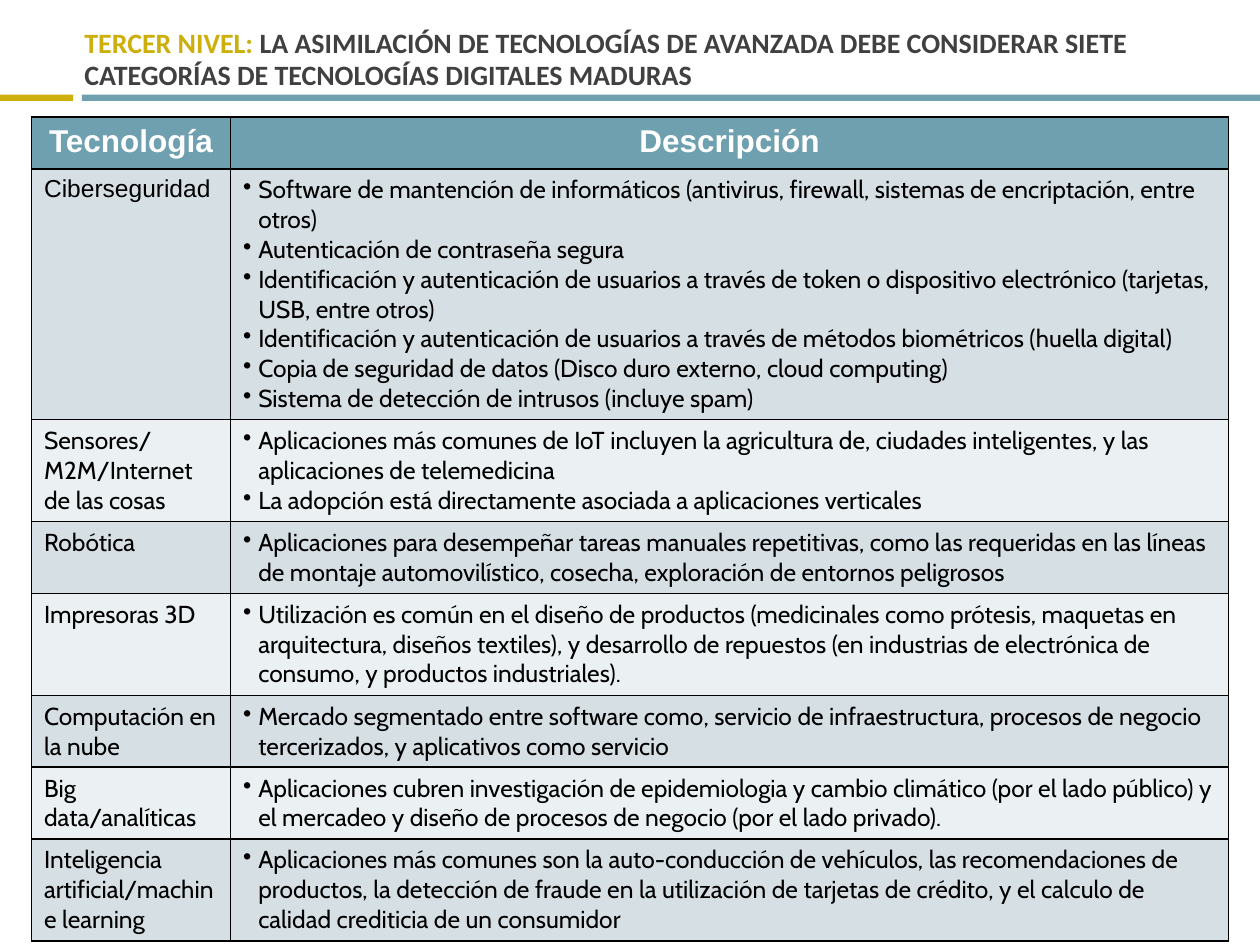
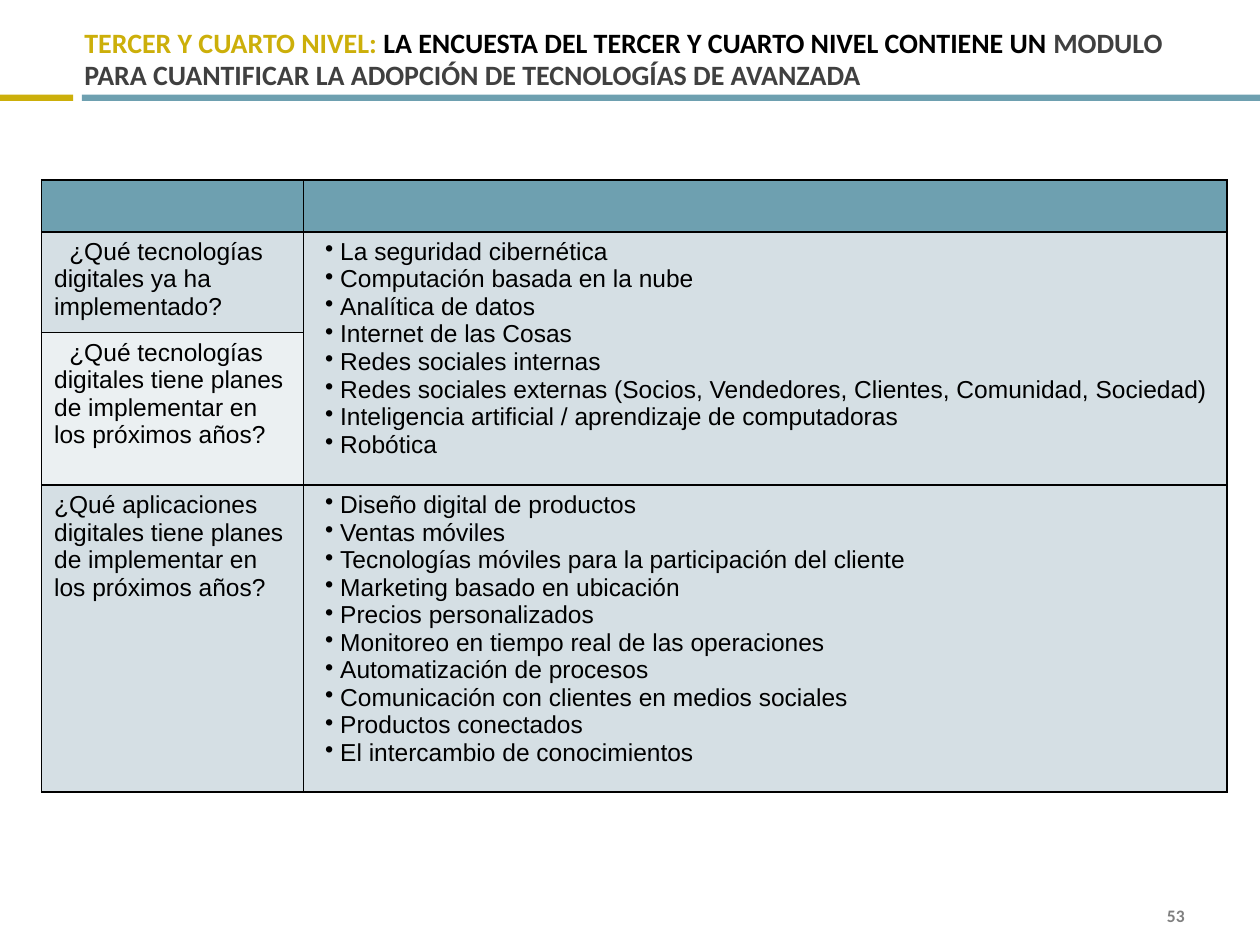
from dataclasses import dataclass

import pptx
import pptx.dml.color
import pptx.enum.shapes
import pptx.enum.text
import pptx.oxml
import pptx.oxml.ns
import pptx.util
from pptx.util import Inches

ALIGN = pptx.enum.text.PP_ALIGN
ANCHOR = pptx.enum.text.MSO_ANCHOR


@dataclass(frozen=True)
class Theme:
    gold: str = "CCAF0A"
    teal: str = "6EA0B0"
    band_dark: str = "D5DFE4"
    band_light: str = "EBF0F2"
    dark_gray: str = "404040"
    mid_gray: str = "7F7F7F"
    black: str = "000000"
    white: str = "FFFFFF"
    heading_font: str = "Calibri"
    table_font: str = "Arial"
    detail_font: str = "Cabin"
    title_size: int = 16
    header_size: int = 18
    body_size: int = 14
    page_size: int = 10
    border_width: int = 1
    hanging: float = 0.12


class Deck:
    def __init__(self, theme):
        self.theme = theme
        self.presentation = pptx.Presentation()
        self.presentation.slide_width = Inches(10)
        self.presentation.slide_height = Inches(7.5)
        self.slide = None

    def add_slide(self, title_parts):
        """Start a slide with the two-colour rule and a title of (text, colour) parts."""
        self.slide = self.presentation.slides.add_slide(self.presentation.slide_layouts[6])
        self.bar(0, 0.58, self.theme.gold)
        self.bar(0.65, 9.35, self.theme.teal)
        self.title(title_parts)

    def bar(self, left, width, color):
        bar = self.slide.shapes.add_shape(
            pptx.enum.shapes.MSO_SHAPE.RECTANGLE,
            Inches(left), Inches(0.75), Inches(width), Inches(0.05))
        bar.shadow.inherit = False
        bar.fill.solid()
        bar.fill.fore_color.rgb = self.rgb(color)
        bar.line.fill.background()

    def title(self, parts):
        frame = self.text_frame(0.67, 0.08, 9, 0.67, ANCHOR.BOTTOM)
        frame.margin_left = frame.margin_right = 0
        frame.margin_top, frame.margin_bottom = Inches(0.05), Inches(0.03)
        paragraph = frame.paragraphs[0]
        paragraph.line_spacing = pptx.util.Pt(18)
        for text, color in parts:
            self.run(paragraph, text, self.theme.heading_font, self.theme.title_size, color, True)

    def page_number(self, number):
        frame = self.text_frame(7.17, 7.17, 2.33, 0.2, ANCHOR.MIDDLE)
        paragraph = frame.paragraphs[0]
        paragraph.alignment = ALIGN.RIGHT
        self.run(paragraph, number, self.theme.heading_font, self.theme.page_size,
                 self.theme.mid_gray, True)

    def text_frame(self, left, top, width, height, anchor):
        box = self.slide.shapes.add_textbox(
            Inches(left), Inches(top), Inches(width), Inches(height))
        box.text_frame.word_wrap = True
        box.text_frame.vertical_anchor = anchor
        return box.text_frame

    def table(self, left, top, widths, heights):
        """Add a bordered table: teal header row, then alternating bands."""
        table = self.slide.shapes.add_table(
            len(heights), len(widths), Inches(left), Inches(top),
            Inches(sum(widths)), Inches(sum(heights))).table
        table.first_row = table.horz_banding = False
        for column, width in zip(table.columns, widths):
            column.width = Inches(width)
        bands = (self.theme.band_light, self.theme.band_dark)
        for index, (row, height) in enumerate(zip(table.rows, heights)):
            row.height = Inches(height)
            for cell in row.cells:
                self.borders(cell)
                cell.fill.solid()
                cell.fill.fore_color.rgb = self.rgb(bands[index % 2] if index else self.theme.teal)
        return table

    def borders(self, cell):
        properties = cell._tc.get_or_add_tcPr()
        width = pptx.util.Pt(self.theme.border_width)
        for side in ("lnL", "lnR", "lnT", "lnB"):
            properties.append(pptx.oxml.parse_xml(
                f'<a:{side} {pptx.oxml.ns.nsdecls("a")} w="{width}"><a:solidFill>'
                f'<a:srgbClr val="{self.theme.black}"/></a:solidFill></a:{side}>'))

    def header(self, cell, text):
        paragraph = cell.text_frame.paragraphs[0]
        paragraph.alignment = ALIGN.CENTER
        self.run(paragraph, text, self.theme.table_font, self.theme.header_size,
                 self.theme.white, True)

    def label(self, cell, text, font, first_line=0):
        paragraph = cell.text_frame.paragraphs[0]
        self.indent(paragraph, 0, first_line)
        self.run(paragraph, text, font, self.theme.body_size, self.theme.black)

    def bullets(self, cell, items, font, margin):
        frame = cell.text_frame
        for index, item in enumerate(items):
            paragraph = frame.add_paragraph() if index else frame.paragraphs[0]
            properties = self.indent(paragraph, margin, -self.theme.hanging)
            properties.append(pptx.oxml.parse_xml(
                f'<a:buChar {pptx.oxml.ns.nsdecls("a")} char="•"/>'))
            self.run(paragraph, item, font, self.theme.body_size, self.theme.black)

    def indent(self, paragraph, margin, first_line):
        properties = paragraph._p.get_or_add_pPr()
        properties.set("marL", str(Inches(margin)))
        properties.set("indent", str(Inches(first_line)))
        return properties

    def run(self, paragraph, text, font, size, color, bold=False):
        run = paragraph.add_run()
        run.text = text
        run.font.name = font
        run.font.size = pptx.util.Pt(size)
        run.font.bold = bold
        run.font.color.rgb = self.rgb(color)

    @staticmethod
    def rgb(color):
        return pptx.dml.color.RGBColor.from_string(color)


TECHNOLOGIES = [
    ("Ciberseguridad", 1.99, [
        "Software de mantención de informáticos (antivirus, firewall, sistemas de encriptación, "
        "entre otros)",
        "Autenticación de contraseña segura",
        "Identificación y autenticación de usuarios a través de token o dispositivo electrónico "
        "(tarjetas, USB, entre otros)",
        "Identificación y autenticación de usuarios a través de métodos biométricos "
        "(huella digital)",
        "Copia de seguridad de datos (Disco duro externo, cloud computing)",
        "Sistema de detección de intrusos (incluye spam)"]),
    ("Sensores/M2M/Internet de las cosas", 0.81, [
        "Aplicaciones más comunes de IoT incluyen la agricultura de, ciudades inteligentes, "
        "y las aplicaciones de telemedicina",
        "La adopción está directamente asociada a aplicaciones verticales"]),
    ("Robótica", 0.57, [
        "Aplicaciones para desempeñar tareas manuales repetitivas, como las requeridas en las "
        "líneas de montaje automovilístico, cosecha, exploración de entornos peligrosos"]),
    ("Impresoras 3D", 0.81, [
        "Utilización es común en el diseño de productos (medicinales como prótesis, maquetas en "
        "arquitectura, diseños textiles), y desarrollo de repuestos (en industrias de "
        "electrónica de consumo, y productos industriales)."]),
    ("Computación en la nube", 0.57, [
        "Mercado segmentado entre software como, servicio de infraestructura, procesos de "
        "negocio tercerizados, y aplicativos como servicio"]),
    ("Big data/analíticas", 0.57, [
        "Aplicaciones cubren investigación de epidemiologia y cambio climático (por el lado "
        "público) y el mercadeo y diseño de procesos de negocio (por el lado privado)."]),
    ("Inteligencia artificial/machine learning", 0.81, [
        "Aplicaciones más comunes son la auto-conducción de vehículos, las recomendaciones de "
        "productos, la detección de fraude en la utilización de tarjetas de crédito, y el "
        "calculo de calidad crediticia de un consumidor"]),
]

SURVEY_QUESTIONS = [
    ("¿Qué tecnologías digitales ya ha implementado?", 0.12),
    ("¿Qué tecnologías digitales tiene planes de implementar en los próximos años?", 0.12),
    ("¿Qué aplicaciones digitales tiene planes de implementar en los próximos años?", 0),
]

SURVEY_TECHNOLOGIES = [
    "La seguridad cibernética",
    "Computación basada en la nube",
    "Analítica de datos",
    "Internet de las Cosas",
    "Redes sociales internas",
    "Redes sociales externas (Socios, Vendedores, Clientes, Comunidad, Sociedad)",
    "Inteligencia artificial / aprendizaje de computadoras",
    "Robótica",
]

SURVEY_APPLICATIONS = [
    "Diseño digital de productos",
    "Ventas móviles",
    "Tecnologías móviles para la participación del cliente",
    "Marketing basado en ubicación",
    "Precios personalizados",
    "Monitoreo en tiempo real de las operaciones",
    "Automatización de procesos",
    "Comunicación con clientes en medios sociales",
    "Productos conectados",
    "El intercambio de conocimientos",
]


def add_technology_slide(deck):
    theme = deck.theme
    deck.add_slide([
        ("TERCER NIVEL: ", theme.gold),
        ("LA ASIMILACIÓN DE TECNOLOGÍAS DE AVANZADA DEBE CONSIDERAR SIETE CATEGORÍAS DE "
         "TECNOLOGÍAS DIGITALES MADURAS", theme.dark_gray)])
    heights = [0.41] + [height for _, height, _ in TECHNOLOGIES]
    categories = deck.table(0.25, 0.93, [1.58, 7.92], heights)
    for column, heading in enumerate(("Tecnología", "Descripción")):
        deck.header(categories.cell(0, column), heading)
    for row, (name, _, descriptions) in enumerate(TECHNOLOGIES, start=1):
        name_font = theme.table_font if row == 1 else theme.detail_font
        deck.label(categories.cell(row, 0), name, name_font)
        deck.bullets(categories.cell(row, 1), descriptions, theme.detail_font, theme.hanging)


def add_survey_slide(deck):
    theme = deck.theme
    deck.add_slide([
        ("TERCER Y CUARTO NIVEL: ", theme.gold),
        ("LA ENCUESTA DEL TERCER Y CUARTO NIVEL CONTIENE UN ", theme.black),
        ("MODULO PARA CUANTIFICAR LA ADOPCIÓN DE TECNOLOGÍAS DE AVANZADA", theme.dark_gray)])
    survey = deck.table(0.33, 1.43, [2.08, 7.33], [0.41, 0.75, 1.21, 2.29])
    survey.cell(1, 1).merge(survey.cell(2, 1))
    for row, (question, first_line) in enumerate(SURVEY_QUESTIONS, start=1):
        deck.label(survey.cell(row, 0), question, theme.table_font, first_line)
    for row, answers in ((1, SURVEY_TECHNOLOGIES), (3, SURVEY_APPLICATIONS)):
        deck.bullets(survey.cell(row, 1), answers, theme.table_font, 0.19)
    deck.page_number("53")


def main():
    deck = Deck(Theme())
    add_technology_slide(deck)
    add_survey_slide(deck)
    deck.presentation.save("out.pptx")


if __name__ == "__main__":
    main()
